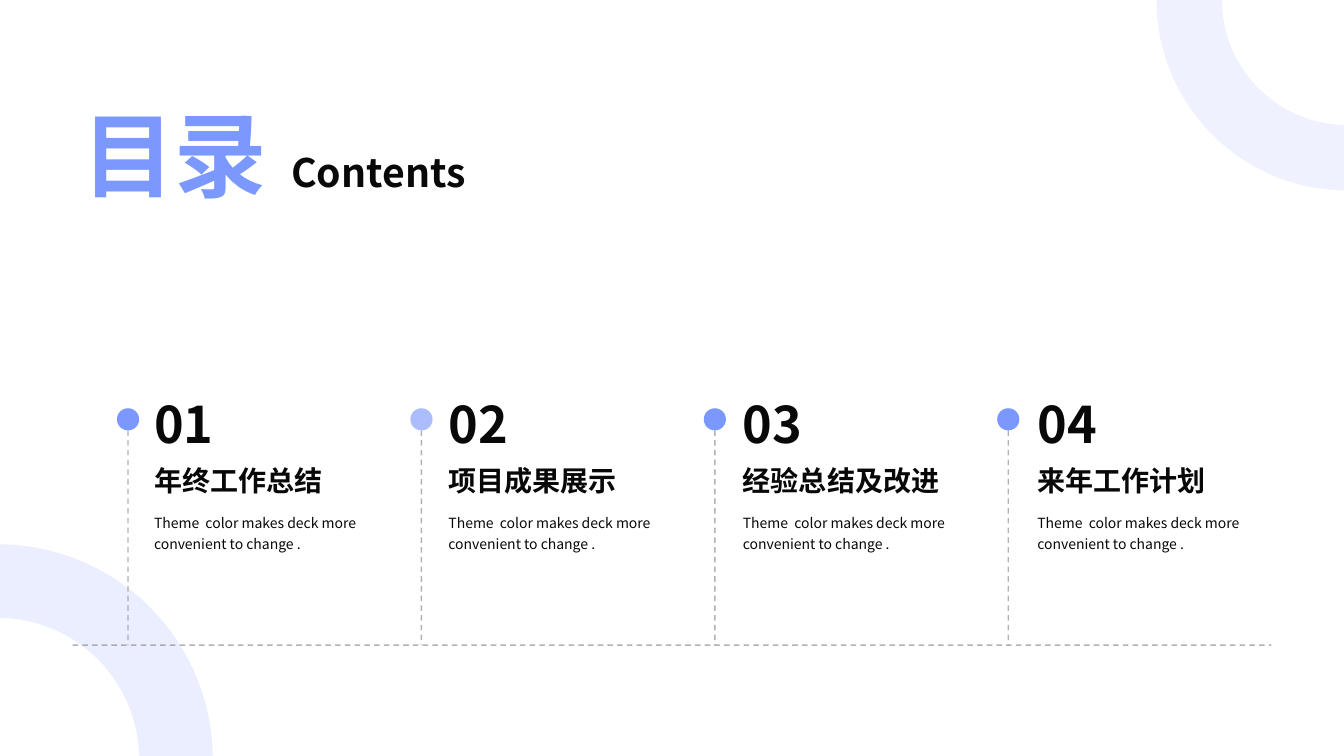
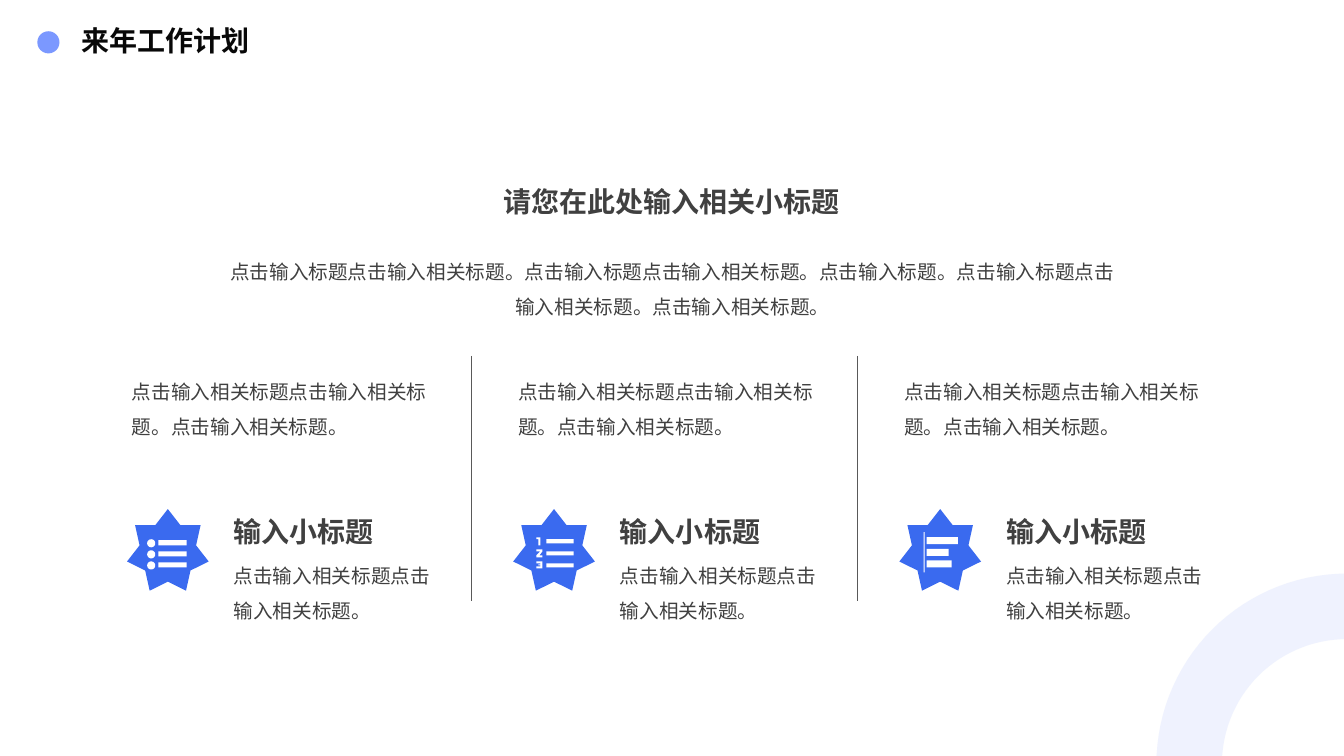
from dataclasses import dataclass
from math import cos, radians, sin

from lxml.etree import SubElement
from pptx import Presentation
from pptx.dml.color import RGBColor
from pptx.enum.dml import MSO_LINE
from pptx.enum.shapes import MSO_CONNECTOR, MSO_SHAPE
from pptx.enum.text import MSO_ANCHOR, MSO_AUTO_SIZE, PP_ALIGN
from pptx.oxml.ns import qn
from pptx.util import Inches, Pt


@dataclass(frozen=True)
class Theme:
    width: float = 13.33
    height: float = 7.5
    font: str = "Noto Sans CJK SC"
    accent: str = "7B98FF"
    pale: str = "97ADFC"
    strong: str = "3A6AEF"
    white: str = "FFFFFF"
    ink: str = "080808"
    body: str = "404040"
    rule: str = "808080"
    divider: str = "595959"
    display_size: int = 66
    number_size: int = 36
    english_size: int = 28
    heading_size: int = 20
    body_size: int = 14
    note_size: int = 10
    dot: float = 0.22
    tight: int = Pt(15)
    loose: float = 1.5


THEME = Theme()


def set_alpha(sp, percent):
    for clr in sp.element.iter(qn("a:srgbClr")):
        SubElement(clr, qn("a:alpha")).set("val", str(percent * 1000))


def paint(sp, color, alpha=100):
    sp.shadow.inherit = False
    sp.fill.solid()
    sp.fill.fore_color.rgb = RGBColor.from_string(color)
    sp.line.fill.background()
    if alpha < 100:
        set_alpha(sp, alpha)


def add_preset(slide, kind, x, y, size, color, alpha=100):
    sp = slide.shapes.add_shape(kind, Inches(x), Inches(y), Inches(size), Inches(size))
    paint(sp, color, alpha)


def add_dot(slide, x, y, color=THEME.accent, alpha=100):
    add_preset(slide, MSO_SHAPE.OVAL, x, y, THEME.dot, color, alpha)


def add_line(slide, x1, y1, x2, y2, color, width, dashed=False):
    line = slide.shapes.add_connector(
        MSO_CONNECTOR.STRAIGHT, Inches(x1), Inches(y1), Inches(x2), Inches(y2))
    line.line.color.rgb = RGBColor.from_string(color)
    line.line.width = Pt(width)
    if dashed:
        line.line.dash_style = MSO_LINE.DASH
        set_alpha(line, 60)
    SubElement(line.element.spPr, qn("a:effectLst"))


def add_text(slide, x, y, w, h, text, size, color=THEME.ink, bold=False,
             spacing=None, align=PP_ALIGN.LEFT, anchor=MSO_ANCHOR.TOP, grow=True):
    tf = slide.shapes.add_textbox(Inches(x), Inches(y), Inches(w), Inches(h)).text_frame
    tf.word_wrap = True
    tf.auto_size = MSO_AUTO_SIZE.SHAPE_TO_FIT_TEXT if grow else MSO_AUTO_SIZE.NONE
    tf.vertical_anchor = anchor
    tf.text = text
    p = tf.paragraphs[0]
    p.alignment = align
    p.line_spacing = spacing
    r = p.runs[0]
    r.font.size = Pt(size)
    r.font.bold = bold
    r.font.color.rgb = RGBColor.from_string(color)
    r.font.name = THEME.font
    SubElement(r.font._element, qn("a:ea")).set("typeface", THEME.font)


def arc(cx, cy, radius, start, end, step=3):
    """Return points along an arc; angles run clockwise in degrees from the right."""
    angles = [radians(a) for a in range(start, end + 1, step)]
    return [(cx + radius * cos(a), cy + radius * sin(a)) for a in angles]


def box(x1, y1, x2, y2):
    return [(x1, y1), (x2, y1), (x2, y2), (x1, y2)]


def add_outline(slide, contours, color, alpha=100, left=0, top=0):
    """Draw closed contours, given relative to left and top, as one shape."""
    builder = None
    for contour in contours:
        points = [(Inches(left + x), Inches(top + y)) for x, y in contour]
        if builder is None:
            builder = slide.shapes.build_freeform(*points[0], scale=1.0)
        else:
            builder.move_to(*points[0])
        builder.add_line_segments(points[1:], close=True)
    paint(builder.convert_to_shape(), color, alpha)


def add_corner_ring(slide, cx, cy, outer, inner, start, alpha):
    """Draw a quarter ring, cut off at the slide edges."""
    end = start + 90
    points = arc(cx, cy, outer, start, end) + arc(cx, cy, inner, start, end)[::-1]
    clipped = [(min(max(x, 0), THEME.width), min(max(y, 0), THEME.height))
               for x, y in points]
    add_outline(slide, [clipped], THEME.pale, alpha)


def bullet_icon():
    dots = [arc(0.24, 0.34 + 0.11 * i, 0.04, 0, 360, 15) for i in range(3)]
    bars = [box(0.31, 0.31 + 0.11 * i, 0.59, 0.36 + 0.11 * i) for i in range(3)]
    return dots + bars


def number_icon():
    one = [(0.23, 0.28), (0.27, 0.28), (0.27, 0.36), (0.25, 0.36), (0.25, 0.3), (0.23, 0.3)]
    two = [(0.23, 0.42), (0.27, 0.42), (0.23, 0.46), (0.23, 0.48), (0.29, 0.48),
           (0.29, 0.46), (0.26, 0.46), (0.29, 0.42), (0.29, 0.4), (0.23, 0.4)]
    three = [(0.23, 0.54), (0.27, 0.54), (0.27, 0.55), (0.25, 0.55), (0.25, 0.56),
             (0.27, 0.56), (0.27, 0.57), (0.23, 0.57), (0.23, 0.59), (0.29, 0.59),
             (0.29, 0.52), (0.23, 0.52)]
    bars = [box(0.33, 0.3 + 0.12 * i, 0.6, 0.34 + 0.12 * i) for i in range(3)]
    return [one, two, three] + bars


def align_icon():
    bars = [box(0.27, 0.28 + 0.115 * i, right, 0.35 + 0.115 * i)
            for i, right in enumerate((0.58, 0.49, 0.52))]
    return bars + [box(0.24, 0.23, 0.25, 0.63)]


def add_heading(slide, x, y, text):
    add_text(slide, x, y, 2.33, 0.33, text, THEME.heading_size, bold=True,
             spacing=THEME.tight)


def add_chapter(slide, index, title):
    axis, left = 1.27 + 2.91 * index, 1.43 + 2.92 * index
    add_line(slide, axis, 4.27, axis, 6.4, THEME.rule, 1, dashed=True)
    color, alpha = (THEME.pale, 80) if index == 1 else (THEME.accent, 100)
    add_dot(slide, axis - THEME.dot / 2, 4.05, color, alpha)
    add_text(slide, left, 3.84, 2.33, 0.71, f"{index + 1:02}", THEME.number_size,
             bold=True, anchor=MSO_ANCHOR.BOTTOM)
    add_heading(slide, left, 4.67, title)
    add_text(slide, left, 5.01, 2.33, 0.51,
             "Theme  color makes deck more convenient to change .",
             THEME.note_size, spacing=THEME.tight)


def add_plan_column(slide, left, icon):
    star_left, star_top = left + 0.05, 5.05
    add_text(slide, left, 3.6, 3.27, 0.77,
             "点击输入相关标题点击输入相关标题。点击输入相关标题。",
             THEME.body_size, THEME.body, spacing=THEME.loose)
    add_preset(slide, MSO_SHAPE.STAR_7_POINT, star_left, star_top, 0.81, THEME.strong)
    add_outline(slide, icon, THEME.white, left=star_left, top=star_top)
    add_text(slide, left + 1.01, 5.06, 1.97, 0.44, "输入小标题",
             THEME.heading_size, THEME.body, bold=True)
    add_text(slide, left + 1.01, 5.43, 2.26, 0.9, "点击输入相关标题点击输入相关标题。",
             THEME.body_size, THEME.body, spacing=THEME.loose, grow=False)


def build_contents(slide):
    add_corner_ring(slide, -0.02, 7.53, 2.13, 1.4, 270, 20)
    add_corner_ring(slide, 13.36, 0, 1.89, 1.24, 90, 15)
    add_text(slide, 0.72, 0.91, 2.73, 1.21, "目录", THEME.display_size, THEME.accent,
             bold=True, anchor=MSO_ANCHOR.BOTTOM)
    add_text(slide, 2.79, 1.42, 2.18, 0.57, "Contents", THEME.english_size,
             bold=True, anchor=MSO_ANCHOR.BOTTOM)
    add_line(slide, 0.72, 6.4, 12.61, 6.4, THEME.rule, 1, dashed=True)
    titles = ("年终工作总结", "项目成果展示", "经验总结及改进", "来年工作计划")
    for index, title in enumerate(titles):
        add_chapter(slide, index, title)


def build_plan(slide):
    add_corner_ring(slide, 13.36, 7.58, 1.89, 1.24, 180, 15)
    add_dot(slide, 0.37, 0.31)
    add_heading(slide, 0.71, 0.31, "来年工作计划")
    add_text(slide, 2.91, 1.78, 7.5, 0.44, "请您在此处输入相关小标题",
             THEME.heading_size, THEME.body, bold=True, align=PP_ALIGN.CENTER)
    add_text(slide, 2.13, 2.41, 9.08, 0.77,
             "点击输入标题点击输入相关标题。点击输入标题点击输入相关标题。点击输入标题。"
             "点击输入标题点击输入相关标题。点击输入相关标题。",
             THEME.body_size, THEME.body, spacing=THEME.loose, align=PP_ALIGN.CENTER)
    icons = (bullet_icon(), number_icon(), align_icon())
    for index, icon in enumerate(icons):
        left = 1.21 + 3.83 * index
        add_plan_column(slide, left, icon)
        if index < len(icons) - 1:
            add_line(slide, left + 3.46, 3.53, left + 3.46, 5.96, THEME.divider, 0.25)


def main():
    prs = Presentation()
    prs.slide_width, prs.slide_height = Inches(THEME.width), Inches(THEME.height)
    for build in (build_contents, build_plan):
        build(prs.slides.add_slide(prs.slide_layouts[6]))
    prs.save("out.pptx")


if __name__ == "__main__":
    main()
